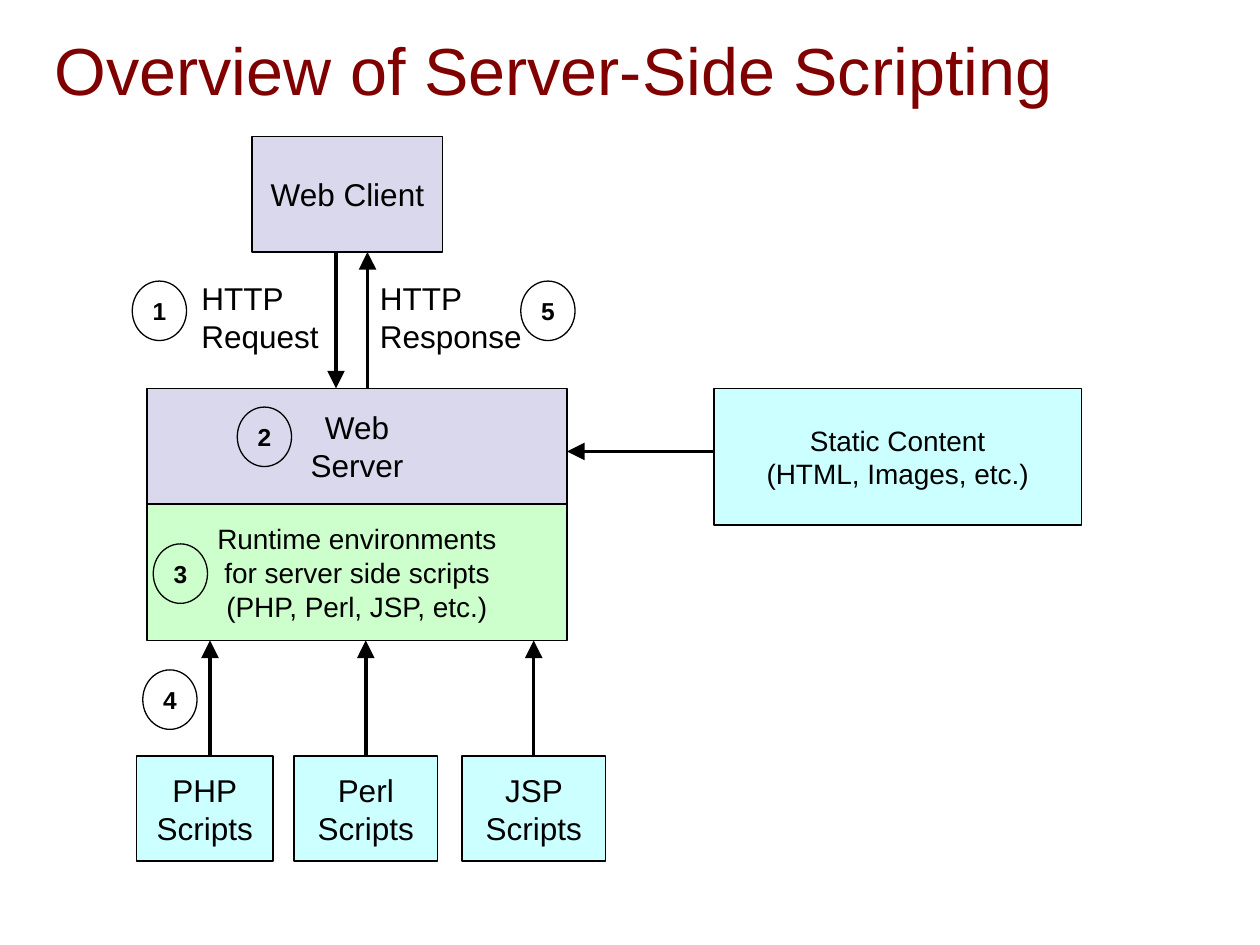
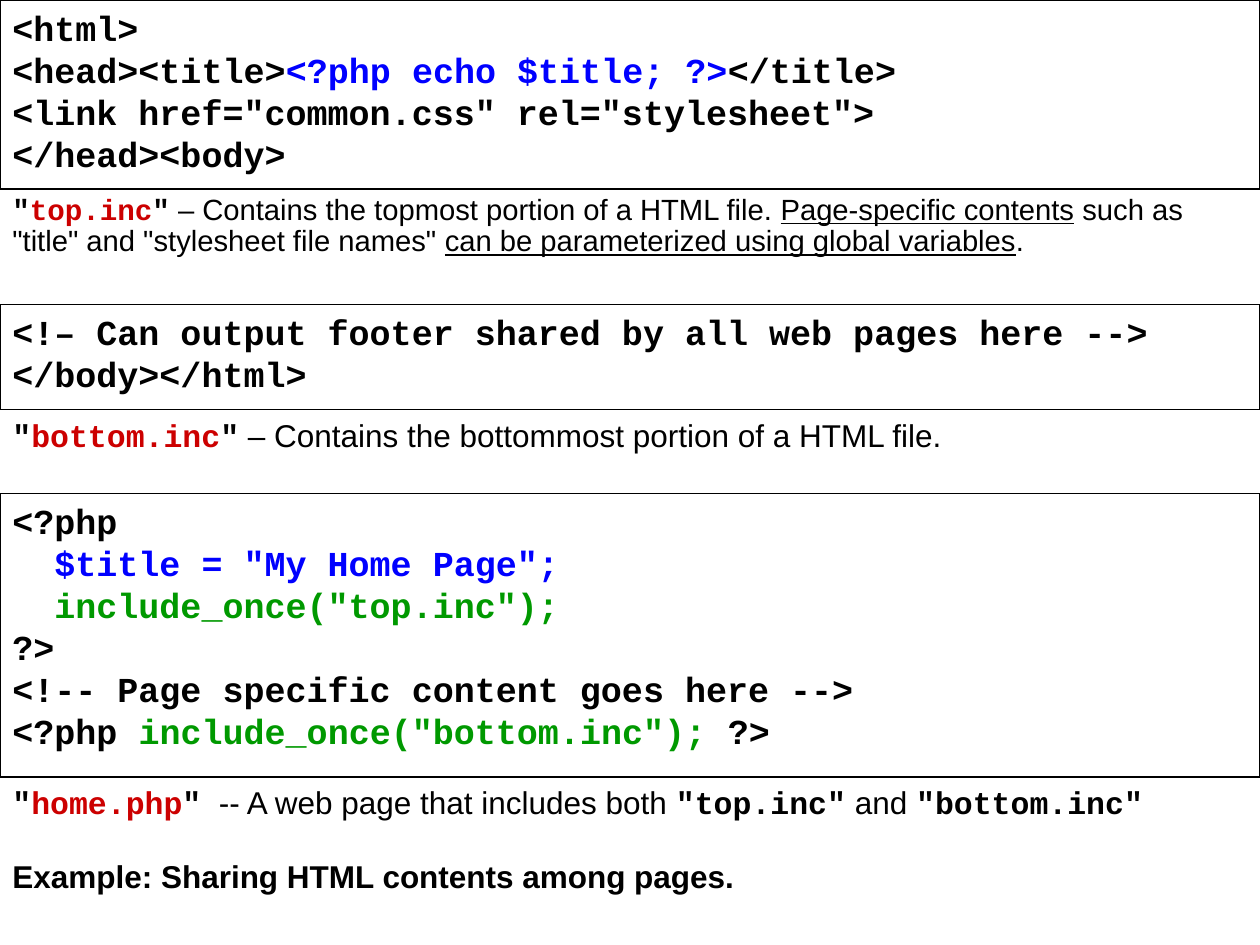
from lxml import etree
from pptx import Presentation
from pptx import util as u
from pptx.dml import color
from pptx.enum import shapes, text
from pptx.oxml import ns

BLACK = color.RGBColor(0x00, 0x00, 0x00)
WHITE = color.RGBColor(0xFF, 0xFF, 0xFF)
MAROON = color.RGBColor(0x80, 0x00, 0x00)
LAVENDER = color.RGBColor(0xD9, 0xD8, 0xEC)
CYAN = color.RGBColor(0xCC, 0xFF, 0xFF)
MINT = color.RGBColor(0xCC, 0xFF, 0xCC)
BLUE = color.RGBColor(0x00, 0x00, 0xFF)
GREEN = color.RGBColor(0x00, 0x99, 0x00)
RED = color.RGBColor(0xCC, 0x00, 0x00)

SLIDE_WIDTH, SLIDE_HEIGHT = 720, 540
LEFT, CENTER = text.PP_ALIGN.LEFT, text.PP_ALIGN.CENTER
TOP, MIDDLE = text.MSO_ANCHOR.TOP, text.MSO_ANCHOR.MIDDLE

# Run formats
PLAIN = {"name": "Arial", "bold": False, "color": BLACK}
BOLD = {**PLAIN, "bold": True}
UNDERLINED = {**PLAIN, "underline": True}
TITLE = {**PLAIN, "color": MAROON}
CODE = {**BOLD, "name": "Courier New"}
CODE_BLUE = {**CODE, "color": BLUE}
CODE_GREEN = {**CODE, "color": GREEN}
FILE_NAME = {**CODE, "color": RED}


def points(*values):
    return [u.Pt(value) for value in values]


def write_text(shape, paragraphs, size, style=PLAIN, align=LEFT, anchor=TOP,
               wrap=True, line_spacing=None):
    """Each paragraph is a string or a list of (text, format) runs."""
    frame = shape.text_frame
    frame.word_wrap, frame.vertical_anchor = wrap, anchor
    for index, content in enumerate(paragraphs):
        paragraph = frame.add_paragraph() if index else frame.paragraphs[0]
        paragraph.alignment = align
        if line_spacing:
            paragraph.line_spacing = line_spacing
        runs = [(content, style)] if isinstance(content, str) else content
        for words, values in runs:
            run = paragraph.add_run()
            run.text = words
            run.font.size = u.Pt(size)
            for name, value in values.items():
                if name == "color":
                    run.font.color.rgb = value
                else:
                    setattr(run.font, name, value)


def add_outlined(slide, kind, place, fill=None):
    shape = slide.shapes.add_shape(kind, *points(*place))
    shape.shadow.inherit = False
    if fill is None:
        shape.fill.background()
    else:
        shape.fill.solid()
        shape.fill.fore_color.rgb = fill
    shape.line.color.rgb = BLACK
    shape.line.width = u.Pt(0.75)
    return shape


def add_box(slide, place, fill, lines, size=18):
    box = add_outlined(slide, shapes.MSO_SHAPE.RECTANGLE, place, fill)
    write_text(box, lines, size, align=CENTER, anchor=MIDDLE)
    return box


def add_step(slide, number, left, top):
    circle = add_outlined(slide, shapes.MSO_SHAPE.OVAL, (left, top, 31, 34))
    write_text(circle, [str(number)], 14, BOLD, CENTER, MIDDLE, wrap=False)


def add_label(slide, place, paragraphs, size=18, **options):
    label = slide.shapes.add_textbox(*points(*place))
    write_text(label, paragraphs, size, **options)


def add_arrow(slide, start, end):
    arrow = slide.shapes.add_connector(
        shapes.MSO_CONNECTOR.STRAIGHT, *points(*start, *end))
    arrow.line.color.rgb = BLACK
    arrow.line.width = u.Pt(2)
    line = arrow.line._get_or_add_ln()
    etree.SubElement(line, ns.qn("a:tailEnd"), type="triangle",
                     w="lg", len="lg")
    etree.SubElement(arrow._element.spPr, ns.qn("a:effectLst"))
    return arrow


def add_code(slide, top, height, lines):
    box = add_outlined(slide, shapes.MSO_SHAPE.RECTANGLE,
                       (0, top, SLIDE_WIDTH, height), WHITE)
    write_text(box, lines, 20, CODE)


def add_caption(slide, top, file_name, rest, height=30, **options):
    runs = [('"', CODE), (file_name, FILE_NAME), ('"', CODE), *rest]
    add_label(slide, (0, top, 715, height), [runs], **options)


def build_overview(presentation):
    slide = presentation.slides.add_slide(presentation.slide_layouts[5])
    title = slide.shapes.title
    title.left, title.top, title.width, title.height = points(24, 13, 678, 53)
    write_text(title, ["Overview of Server-Side Scripting"], 38, TITLE,
               anchor=MIDDLE)

    # Client, server and content
    client_bottom, server_top, runtime_bottom, scripts_top = 144, 222, 366, 432
    add_box(slide, (144, 78, 109, 66), LAVENDER, ["Web Client"])
    add_box(slide, (84, server_top, 240, 66), LAVENDER, ["Web", "Server"])
    add_box(slide, (84, 288, 240, 78), MINT,
            ["Runtime environments", "for server side scripts",
             "(PHP, Perl, JSP, etc.)"], 16)
    add_box(slide, (408, server_top, 210, 78), CYAN,
            ["Static Content", "(HTML, Images, etc.)"], 16)

    # Request, response and static content
    add_arrow(slide, (192, client_bottom), (192, server_top))
    add_arrow(slide, (210, server_top), (210, client_bottom))
    add_arrow(slide, (408, 258), (324, 258))
    add_label(slide, (108, 156, 84, 50), ["HTTP", "Request"], wrap=False)
    add_label(slide, (210, 156, 99, 50), ["HTTP Response"])

    # Scripts feeding the runtime
    scripts = [(["PHP", "Scripts"], 78, 78, 120),
               (["Perl Scripts"], 168, 82, 209),
               (["JSP Scripts"], 264, 82, 305)]
    for lines, left, width, arrow_x in scripts:
        box = add_box(slide, (left, scripts_top, width, 60), CYAN, lines)
        arrow = add_arrow(slide, (arrow_x, scripts_top),
                          (arrow_x, runtime_bottom))
        if arrow_x == left + width / 2:
            arrow.begin_connect(box, 0)

    # Numbered steps
    step_places = [(75.6, 160.6), (135.6, 232.6), (87.6, 310.8),
                   (81.6, 382.8), (297.6, 160.6)]
    for number, place in enumerate(step_places, start=1):
        add_step(slide, number, *place)


def build_sharing_example(presentation):
    slide = presentation.slides.add_slide(presentation.slide_layouts[6])

    # Shared page top
    add_code(slide, 0, 108, [
        "<html>",
        [("<head><title>", CODE), ("<?php echo $title; ?>", CODE_BLUE),
         ("</title>", CODE)],
        '<link href="common.css" rel="stylesheet">',
        "</head><body>"])
    add_caption(slide, 108, "top.inc", [
        (" – Contains the topmost portion of a HTML file. ", PLAIN),
        ("Page-specific contents", UNDERLINED),
        (' such as "title" and "stylesheet file names" ', PLAIN),
        ("can be parameterized using global variables", UNDERLINED),
        (".", PLAIN)], height=50, size=16.7, line_spacing=0.9)

    # Shared page bottom
    add_code(slide, 174, 60, [
        "<!– Can output footer shared by all web pages here -->",
        "</body></html>"])
    add_caption(slide, 234, "bottom.inc", [
        (" – Contains the bottommost portion of a HTML file.", PLAIN)])

    # Page that includes both
    add_code(slide, 282, 162, [
        "<?php",
        [('  $title = "My Home Page";', CODE_BLUE)],
        [('  include_once("top.inc");', CODE_GREEN)],
        "?>",
        "<!-- Page specific content goes here -->",
        [("<?php ", CODE), ('include_once("bottom.inc");', CODE_GREEN),
         (" ?>", CODE)]])
    add_caption(slide, 444, "home.php", [
        ("  -- A web page that includes both ", PLAIN), ('"top.inc"', CODE),
        (" and ", PLAIN), ('"bottom.inc"', CODE)])
    add_label(slide, (0, 486, 715, 30),
              ["Example: Sharing HTML contents among pages."], style=BOLD)


def main():
    presentation = Presentation()
    presentation.slide_width = u.Pt(SLIDE_WIDTH)
    presentation.slide_height = u.Pt(SLIDE_HEIGHT)
    build_overview(presentation)
    build_sharing_example(presentation)
    presentation.save("out.pptx")


if __name__ == "__main__":
    main()
